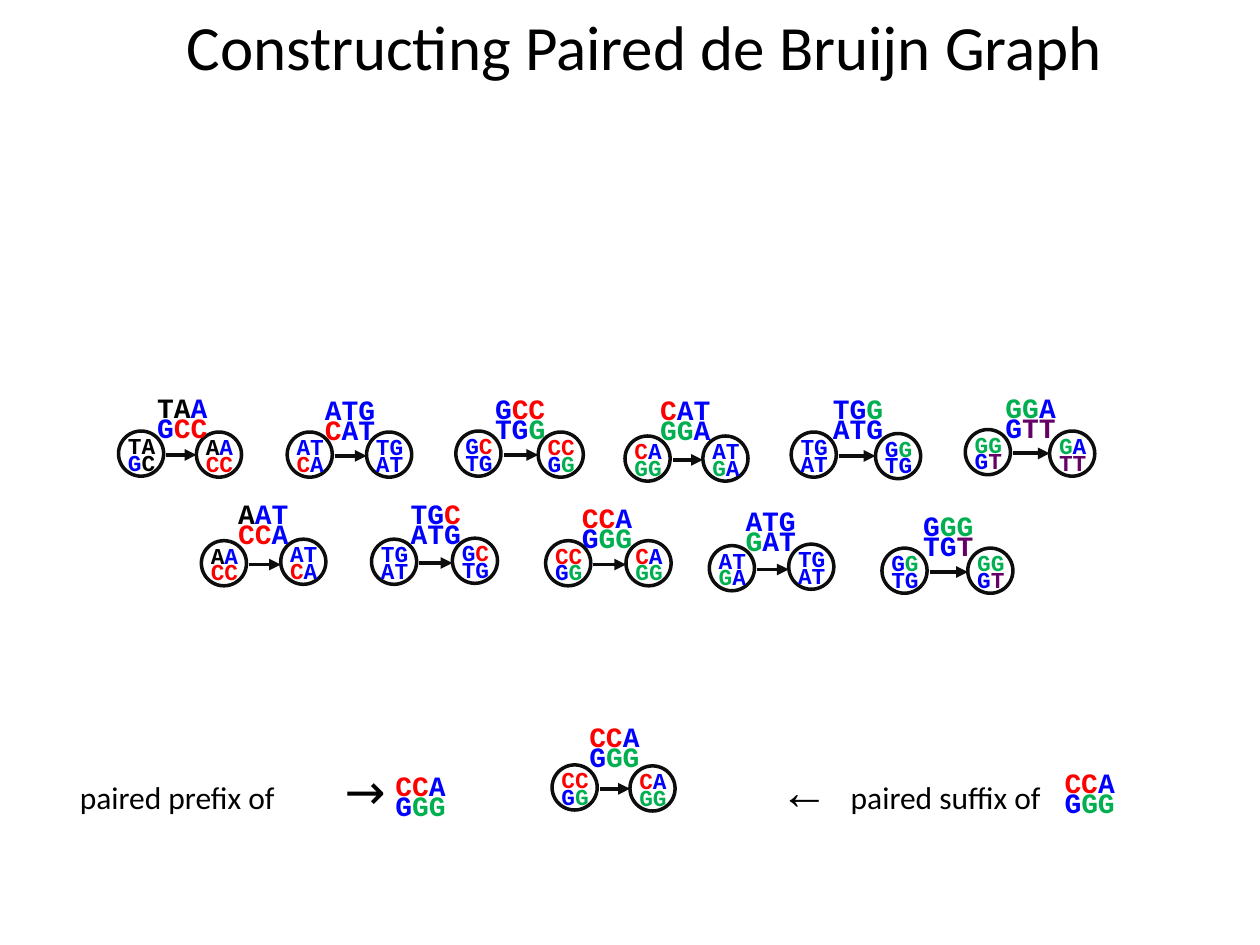
from itertools import groupby

from lxml.etree import SubElement
from pptx import Presentation
from pptx.dml.color import RGBColor
from pptx.enum.shapes import MSO_CONNECTOR, MSO_SHAPE
from pptx.enum.text import MSO_ANCHOR, MSO_AUTO_SIZE, PP_ALIGN
from pptx.oxml.ns import qn
from pptx.util import Cm, Pt

HEAD = "Constructing Paired de Bruijn Graph"
TINT = {"k": "000000", "b": "0000FF", "r": "FF0000", "g": "00B050",
        "p": "660066", "line": "0D0D0D"}
CODE = "Courier New"
CCA = [("CCA", "rrb"), ("GGG", "bgg")]

EDGES = [
    ([("TAA", "kkb"), ("GCC", "brr")], (2.39, 8.69), (3.96, 8.71), (2.92, 7.98)),
    ([("AAT", "kbb"), ("CCA", "rrb")], (4.06, 10.9), (5.66, 10.87), (4.55, 10.13)),
    ([("ATG", "bbb"), ("CAT", "rbb")], (5.79, 8.71), (7.39, 8.71), (6.3, 8.03)),
    ([("TGC", "bbr"), ("ATG", "bbb")], (7.49, 10.87), (9.12, 10.85), (8.03, 10.13)),
    ([("GCC", "brr"), ("TGG", "bbg")], (9.19, 8.69), (10.85, 8.71), (9.73, 8)),
    (CCA, (11, 10.9), (12.62, 10.9), (11.48, 10.21)),
    ([("CAT", "rbb"), ("GGA", "ggb")], (12.6, 8.79), (14.17, 8.79), (13.06, 8.03)),
    ([("ATG", "bbb"), ("GAT", "gbb")], (14.3, 11), (15.9, 10.97), (14.78, 10.26)),
    ([("TGG", "bbg"), ("ATG", "bbb")], (15.95, 8.71), (17.65, 8.74), (16.54, 8)),
    ([("GGG", "bgg"), ("TGT", "bbp")], (17.78, 11.05), (19.51, 11.05), (18.36, 10.36)),
    ([("GGA", "ggb"), ("GTT", "bpp")], (19.46, 8.66), (21.16, 8.69), (20.02, 7.98)),
    (CCA, (11.13, 15.42), (12.7, 15.44), (11.63, 14.61)),
]
FIRST = [("TA", "kk"), ("GC", "bk")]
MARKS = [(7.72, 15.6), (21.21, 15.54)]
NOTE = [("\tpaired prefix of\t", "Calibri", 18), ("→", "Roboto Slab", 28),
        ("\t", "Calibri", 18), ("←", "Times New Roman", 28),
        ("\tpaired suffix of", "Calibri", 18)]
TABS = [1.56, 6.9, 15.67, 17.1]
RING = 0.91

deck = Presentation()
deck.slide_width, deck.slide_height = Cm(25.4), Cm(19.05)
slide = deck.slides.add_slide(deck.slide_layouts[5])
shapes = slide.shapes


def write(box, lines, space=1.0, align=PP_ALIGN.LEFT, wrap=True, bold=False, tabs=()):
    frame = box.text_frame
    frame.word_wrap = wrap
    frame.auto_size = MSO_AUTO_SIZE.SHAPE_TO_FIT_TEXT
    frame.vertical_anchor = MSO_ANCHOR.TOP
    for i, line in enumerate(lines):
        para = frame.add_paragraph() if i else frame.paragraphs[0]
        para.alignment, para.line_spacing = align, space
        if tabs:
            stops = SubElement(para._p.get_or_add_pPr(), qn("a:tabLst"))
            for pos in tabs:
                SubElement(stops, qn("a:tab"), pos=str(Cm(pos)), algn="l")
        for text, face, size, tint in line:
            run = para.add_run()
            run.text = text
            font = run.font
            font.name, font.size, font.bold = face, Pt(size), bold
            font.color.rgb = RGBColor.from_string(TINT[tint])


def pair(rows, left, top, wide, high, size):
    lines = []
    for row in rows:
        parts = groupby(zip(*row), key=lambda cell: cell[1])
        lines.append([("".join(c for c, _ in part), CODE, size, tint)
                      for tint, part in parts])
    box = shapes.add_textbox(Cm(left), Cm(top), Cm(wide), Cm(high))
    write(box, lines, space=0.6, wrap=False, bold=True)


def label(rows, spot):
    pair(rows, *spot, 1.55, 1.07, 16)


def node(rows, left, top):
    ring = shapes.add_shape(MSO_SHAPE.OVAL, Cm(left), Cm(top), Cm(RING), Cm(RING))
    ring.shadow.inherit = False
    ring.fill.background()
    ring.line.color.rgb = RGBColor.from_string(TINT["line"])
    ring.line.width = Pt(2)
    pair(rows, left - 0.06, top + 0.09, 1.07, 0.91, 13)


def arrow(start, end, top):
    link = shapes.add_connector(MSO_CONNECTOR.STRAIGHT, Cm(start), Cm(top), Cm(end), Cm(top))
    link.line.color.rgb = RGBColor.from_string(TINT["line"])
    link.line.width = Pt(2.25)
    SubElement(link.line._get_or_add_ln(), qn("a:tailEnd"), type="triangle")
    SubElement(link._element.spPr, qn("a:effectLst"))


title = shapes.title
title.left, title.top, title.width, title.height = Cm(0.18), Cm(0.03), Cm(25.63), Cm(1.8)
write(title, [[(HEAD, "Calibri", 36, "k")]], align=PP_ALIGN.CENTER)

note = shapes.add_textbox(Cm(-0.2), Cm(15.44), Cm(26.03), Cm(1.24))
write(note, [[(*part, "k") for part in NOTE]], space=0.8, tabs=TABS)

for i, (rows, left, right, spot) in enumerate(EDGES):
    head = [(text[:2], tint[:2]) for text, tint in rows]
    tail = [(text[1:], tint[1:]) for text, tint in rows]
    arrow(left[0] + RING + 0.05, right[0], left[1] + 0.48)
    node(head if i else FIRST, *left)
    node(tail, *right)
    label(rows, spot)

for spot in MARKS:
    label(CCA, spot)

deck.save("out.pptx")
